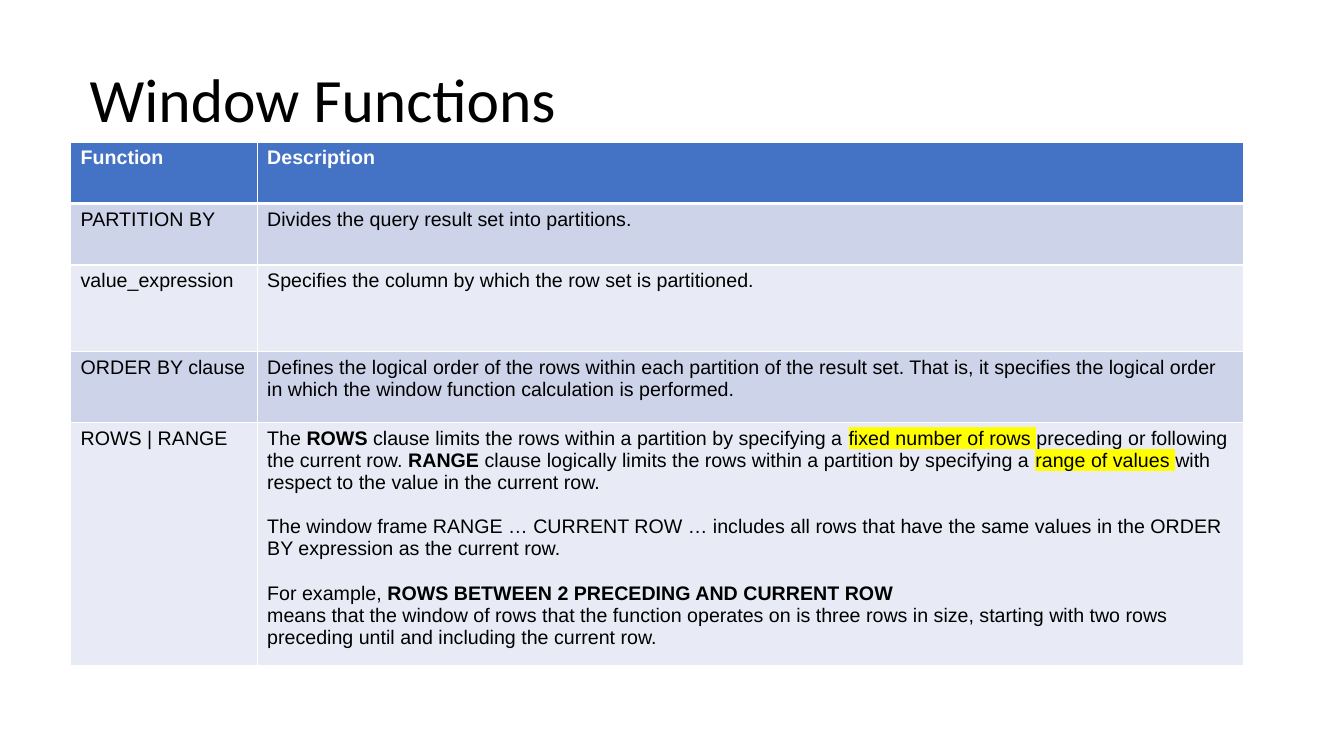
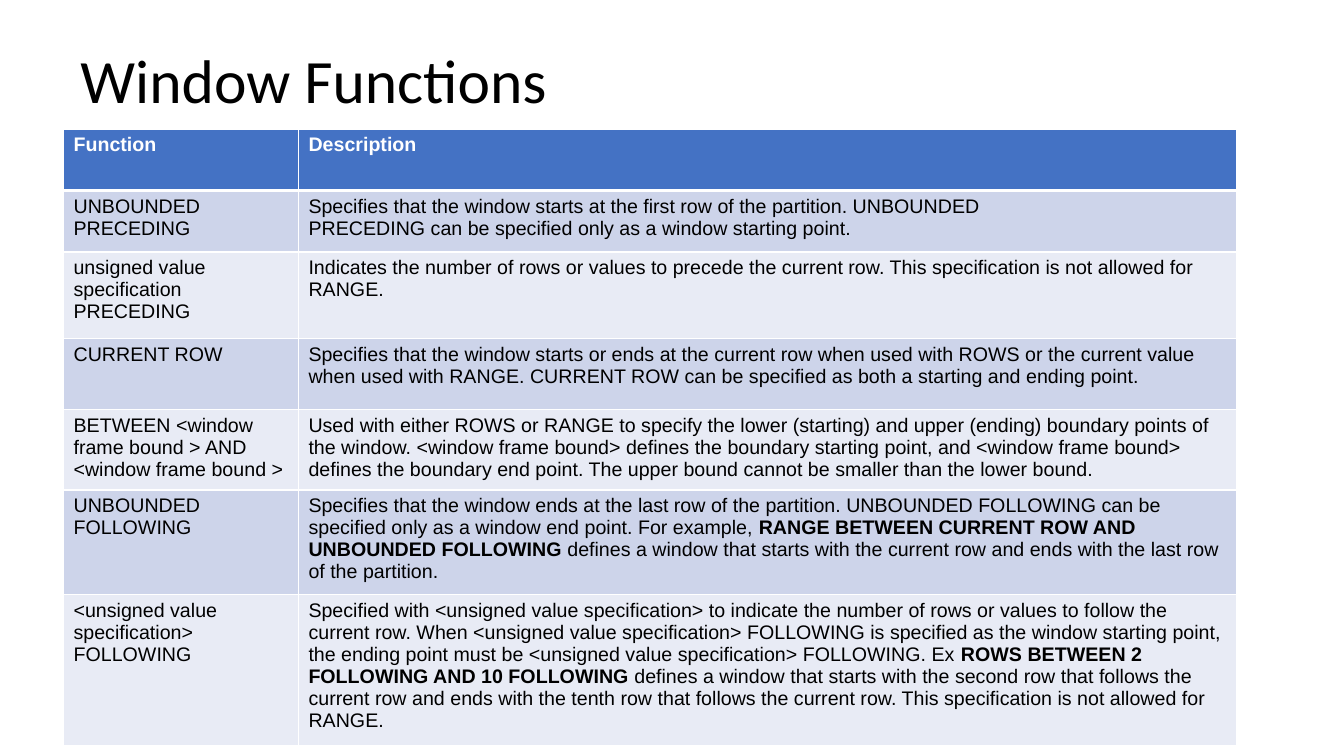
from lxml import etree
from pptx import Presentation
from pptx.dml.color import RGBColor
from pptx.enum import text
from pptx.oxml import ns
from pptx.util import Pt

PX = 9144  # EMU per px, 100 px to the inch
SLIDE_SIZE = (1333, 750)
TITLE_SIZE = (1150, 145)

BLACK = RGBColor(0x00, 0x00, 0x00)
WHITE = RGBColor(0xFF, 0xFF, 0xFF)
YELLOW = RGBColor(0xFF, 0xFF, 0x00)
HEADER_BLUE = RGBColor(0x44, 0x72, 0xC4)
BANDS = (RGBColor(0xCD, 0xD4, 0xEA), RGBColor(0xE8, 0xEB, 0xF5))

TITLE_FONT, TITLE_POINTS = "Calibri", 44
TABLE_FONT, TABLE_POINTS = "Arial", 14
GAP_POINTS = 16
THIN, THICK = 1, 3

BOLD, MARKED, GAP = "bold", "marked", "gap"
TITLE = "Window Functions"
HEADER = ("Function", "Description")

# A cell is a string or a list of paragraphs; a paragraph is a string or a list
# of runs; a run is a string or (string, style). GAP opens a spaced paragraph.
CLAUSES = [
    ("PARTITION BY", "Divides the query result set into partitions."),
    ("value_expression", "Specifies the column by which the row set is partitioned."),
    ("ORDER BY clause",
     "Defines the logical order of the rows within each partition of the result set. "
     "That is, it specifies the logical order in which the window function "
     "calculation is performed."),
    ("ROWS | RANGE", [
        ["The ", ("ROWS", BOLD),
         " clause limits the rows within a partition by specifying a ",
         ("fixed number of rows ", MARKED),
         "preceding or following the current row. ", ("RANGE", BOLD),
         " clause logically limits the rows within a partition by specifying a ",
         ("range of values ", MARKED),
         "with respect to the value in the current row."],
        [GAP, "The window frame RANGE … CURRENT ROW … includes all rows that have the "
              "same values in the ORDER BY expression as the current row."],
        [GAP, "For example, ", ("ROWS BETWEEN 2 PRECEDING AND CURRENT ROW", BOLD)],
        "means that the window of rows that the function operates on is three rows in "
        "size, starting with two rows preceding until and including the current row.",
    ]),
]

BOUNDS = [
    ("UNBOUNDED PRECEDING", [
        "Specifies that the window starts at the first row of the partition. UNBOUNDED",
        "PRECEDING can be specified only as a window starting point."]),
    ("unsigned value specification PRECEDING",
     "Indicates the number of rows or values to precede the current row. "
     "This specification is not allowed for RANGE."),
    ("CURRENT ROW",
     "Specifies that the window starts or ends at the current row when used with ROWS "
     "or the current value when used with RANGE. CURRENT ROW can be specified as both "
     "a starting and ending point."),
    ("BETWEEN <window frame bound > AND <window frame bound >",
     "Used with either ROWS or RANGE to specify the lower (starting) and upper (ending) "
     "boundary points of the window. <window frame bound> defines the boundary starting "
     "point, and <window frame bound> defines the boundary end point. The upper bound "
     "cannot be smaller than the lower bound."),
    ("UNBOUNDED FOLLOWING", [[
        "Specifies that the window ends at the last row of the partition. UNBOUNDED "
        "FOLLOWING can be specified only as a window end point. For example, ",
        ("RANGE BETWEEN CURRENT ROW AND UNBOUNDED FOLLOWING", BOLD),
        " defines a window that starts with the current row and ends with the last row "
        "of the partition."]]),
    (["<unsigned value", "specification> FOLLOWING"], [[
        "Specified with <unsigned value specification> to indicate the number of rows or "
        "values to follow the current row. When <unsigned value specification> FOLLOWING "
        "is specified as the window starting point, the ending point must be <unsigned "
        "value specification> FOLLOWING. Ex ",
        ("ROWS BETWEEN 2 FOLLOWING AND 10 FOLLOWING", BOLD),
        " defines a window that starts with the second row that follows the current row "
        "and ends with the tenth row that follows the current row. This specification is "
        "not allowed for RANGE."]]),
]

SLIDES = [
    dict(title_at=(79, 29), table_at=(70, 141), columns=(185, 978),
         heights=(61, 61, 86, 70, 228), rows=CLAUSES),
    dict(title_at=(70, 10), table_at=(63, 128), columns=(233, 930),
         heights=(61, 61, 86, 70, 75, 98, 141), rows=BOUNDS),
]


def emu(*lengths):
    return [length * PX for length in lengths]


def as_list(value):
    return [value] if isinstance(value, str) else value


def style_run(run, font_name, points, color, bold=False):
    run.font.name = font_name
    run.font.size = Pt(points)
    run.font.bold = bold
    run.font.color.rgb = color


def highlight(run):
    """Mark the run; the schema wants the highlight right after the fill."""
    mark = etree.Element(ns.qn("a:highlight"))
    etree.SubElement(mark, ns.qn("a:srgbClr"), val=str(YELLOW))
    run._r.get_or_add_rPr().find(ns.qn("a:solidFill")).addnext(mark)


def add_title(slide, position):
    box = slide.shapes.add_textbox(*emu(*position, *TITLE_SIZE))
    frame = box.text_frame
    frame.word_wrap = True
    frame.vertical_anchor = text.MSO_ANCHOR.MIDDLE
    frame.text = TITLE
    paragraph = frame.paragraphs[0]
    paragraph.line_spacing = 0.9
    style_run(paragraph.runs[0], TITLE_FONT, TITLE_POINTS, BLACK)


def write_cell(cell, content, color, bold):
    frame = cell.text_frame
    for index, pieces in enumerate(as_list(content)):
        paragraph = frame.add_paragraph() if index else frame.paragraphs[0]
        for piece in as_list(pieces):
            if piece == GAP:
                paragraph.space_before = Pt(GAP_POINTS)
                continue
            words, style = (piece, None) if isinstance(piece, str) else piece
            run = paragraph.add_run()
            run.text = words
            style_run(run, TABLE_FONT, TABLE_POINTS, color, bold or style == BOLD)
            if style == MARKED:
                highlight(run)


def set_borders(cell, top, bottom):
    """Draw white borders; they must stand before the fill in the cell."""
    properties = cell._tc.get_or_add_tcPr()
    widths = {"a:lnL": THIN, "a:lnR": THIN, "a:lnT": top, "a:lnB": bottom}
    for index, (tag, width) in enumerate(widths.items()):
        line = etree.Element(ns.qn(tag), w=str(Pt(width)))
        fill = etree.SubElement(line, ns.qn("a:solidFill"))
        etree.SubElement(fill, ns.qn("a:srgbClr"), val=str(WHITE))
        properties.insert(index, line)


def add_function_table(slide, position, columns, heights, rows):
    frame = slide.shapes.add_table(len(heights), len(columns),
                                   *emu(*position, sum(columns), sum(heights)))
    table = frame.table
    for column, width in zip(table.columns, emu(*columns)):
        column.width = width
    for row, height in zip(table.rows, emu(*heights)):
        row.height = height
    for row_index, contents in enumerate([HEADER, *rows]):
        is_header = row_index == 0
        for column_index, content in enumerate(contents):
            cell = table.cell(row_index, column_index)
            cell.fill.solid()
            cell.fill.fore_color.rgb = HEADER_BLUE if is_header else BANDS[(row_index - 1) % 2]
            set_borders(cell, THICK if row_index == 1 else THIN, THICK if is_header else THIN)
            write_cell(cell, content, WHITE if is_header else BLACK, is_header)


def main():
    presentation = Presentation()
    presentation.slide_width, presentation.slide_height = emu(*SLIDE_SIZE)
    for content in SLIDES:
        slide = presentation.slides.add_slide(presentation.slide_layouts[6])
        add_title(slide, content["title_at"])
        add_function_table(slide, content["table_at"], content["columns"],
                           content["heights"], content["rows"])
    presentation.save("out.pptx")


if __name__ == "__main__":
    main()
